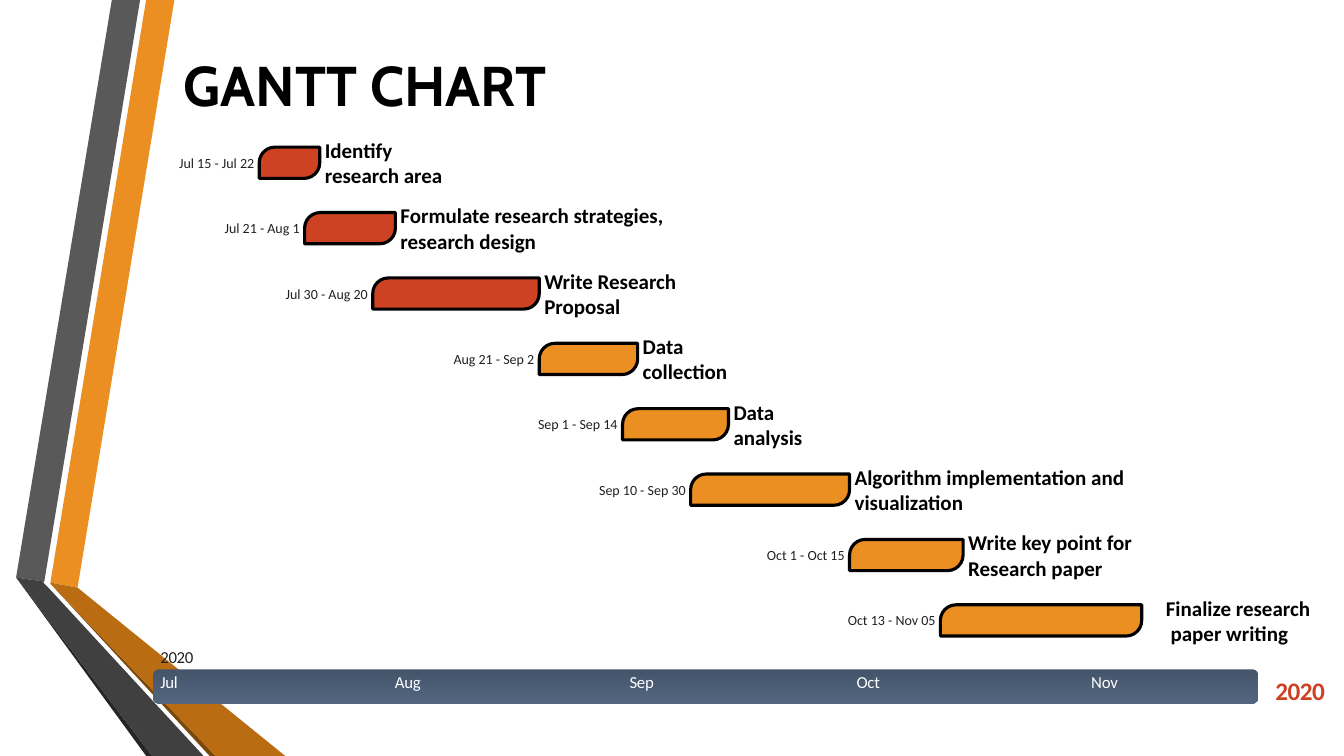
from pptx import Presentation
from pptx.dml.color import RGBColor
from pptx.enum.shapes import MSO_SHAPE
from pptx.enum.text import MSO_ANCHOR, MSO_AUTO_SIZE, PP_ALIGN
from pptx.util import Inches, Pt

ROUND_BAR = MSO_SHAPE.ROUNDED_RECTANGLE
TASK_BAR = MSO_SHAPE.ROUND_2_DIAG_RECTANGLE
MIDDLE = MSO_ANCHOR.MIDDLE
NO_FIT = MSO_AUTO_SIZE.NONE
LEFT, CENTER, RIGHT = PP_ALIGN.LEFT, PP_ALIGN.CENTER, PP_ALIGN.RIGHT

COLORS = {
    "black": "000000", "white": "FFFFFF", "text": "212121",
    "red": "CD4223", "orange": "EB8F22", "brown": "B96C11",
    "dark_brown": "7B480B", "gray": "595959", "dark_gray": "404040",
    "charcoal": "262626", "axis_top": "44546A", "axis_bottom": "52667F",
}
FONT = "Calibri"
AXIS = (1.52, 6.64, 10.96, 0.34)
TASK_AREA = (1.52, 1.46, 10.96, 4.85)
DAYS = 146
BAR_H = 0.31
MONTHS = [("Jul", 0), ("Aug", 31), ("Sep", 62), ("Oct", 92), ("Nov", 123)]

# Day offsets count from 1 July: dates, start, end, task, label width, label gap, color.
TASKS = [
    ("Jul 15 - Jul 22", 14, 22, "Identify research area", 1.18, 0.05, "red"),
    ("Jul 21 - Aug 1", 20, 32, "Formulate research strategies, research design", 2.67, 0.05, "red"),
    ("Jul 30 - Aug 20", 29, 51, "Write Research Proposal", 1.36, 0.05, "red"),
    ("Aug 21 - Sep 2", 51, 64, "Data collection", 0.85, 0.05, "orange"),
    ("Sep 1 - Sep 14", 62, 76, "Data analysis", 0.69, 0.05, "orange"),
    ("Sep 10 - Sep 30", 71, 92, "Algorithm implementation and visualization", 2.72, 0.05, "orange"),
    ("Oct 1 - Oct 15", 92, 107, "Write key point for Research paper", 1.68, 0.05, "orange"),
    ("Oct 13 - Nov 05", 104, 130.6, "Finalize research\n paper writing", 2, 0.24, "orange"),
]
RIBBONS = [
    ("orange", [(0.5, 5.78), (0.77, 5.83), (1.73, 0), (1.45, 0)]),
    ("gray", [(1.39, 0), (1.11, 0), (0.16, 5.73), (0.44, 5.77)]),
    ("charcoal", [(0.16, 5.73), (1.45, 7.5), (1.51, 7.5)]),
    ("dark_brown", [(0.5, 5.79), (2.08, 7.5), (2.14, 7.5)]),
    ("brown", [(0.5, 5.79), (2.14, 7.5), (2.83, 7.5), (0.77, 5.83), (0.5, 5.78)]),
    ("dark_gray", [(2.02, 7.5), (0.48, 5.83), (0.43, 5.78), (0.44, 5.77),
                   (0.16, 5.73), (1.51, 7.5)]),
]


def rgb(name):
    """Return the named color."""
    return RGBColor.from_string(COLORS[name])


def style_run(r, size, color, bold=False, font=FONT, spacing=0):
    """Format a run, with letter spacing in hundredths of a point."""
    r.font.name, r.font.size, r.font.bold = font, Pt(size), bold
    r.font.color.rgb = rgb(color)
    if spacing:
        r.font._element.set("spc", str(spacing))


def add_text(slide, box, text, size, color, align=LEFT, wrap=True, **style):
    """Add a text box without margins, centred vertically."""
    tf = slide.shapes.add_textbox(*map(Inches, box)).text_frame
    tf.margin_left = tf.margin_right = tf.margin_top = tf.margin_bottom = 0
    tf.word_wrap, tf.vertical_anchor = wrap, MIDDLE
    tf.text = text
    for p in tf.paragraphs:
        p.alignment = align
        for r in p.runs:
            style_run(r, size, color, **style)


def add_ribbons(slide, left, top):
    """Draw the folded ribbons from the given corner."""
    for color, points in RIBBONS:
        corners = [(Inches(left + x), Inches(top + y)) for x, y in points]
        builder = slide.shapes.build_freeform(*corners[0])
        builder.add_line_segments(corners[1:], close=True)
        sp = builder.convert_to_shape()
        sp.shadow.inherit = False
        sp.fill.solid()
        sp.fill.fore_color.rgb = rgb(color)
        sp.line.fill.background()


def add_title(slide, box):
    """Place and format the title."""
    sp = slide.shapes.title
    sp.left, sp.top, sp.width, sp.height = map(Inches, box)
    tf = sp.text_frame
    tf.text = "GANTT CHART"
    tf.vertical_anchor, tf.auto_size = MIDDLE, NO_FIT
    p = tf.paragraphs[0]
    p.alignment = LEFT
    style_run(p.runs[0], 40, "black", bold=True, font="Cabin")


def add_axis(slide, box):
    """Draw the month axis with its year labels."""
    left, top, width, height = box
    sp = slide.shapes.add_shape(ROUND_BAR, *map(Inches, box))
    sp.shadow.inherit = False
    sp.line.fill.background()
    sp.fill.gradient()
    sp.fill.gradient_angle = 270
    for stop, color, position in zip(sp.fill.gradient_stops, ("axis_top", "axis_bottom"), (0, 1)):
        stop.color.rgb, stop.position = rgb(color), position
    text_left = left + 0.07
    for month, day in MONTHS:
        add_text(slide, (text_left + day * width / DAYS, top + 0.03, 0.27, 0.19),
                 month, 12, "white", wrap=False, spacing=-20)
    add_text(slide, (text_left, top - 0.22, 0.33, 0.2), "2020", 12, "text",
             wrap=False, spacing=-20)
    add_text(slide, (left + width + 0.17, top + 0.05, 0.49, 0.31), "2020", 18, "red",
             align=CENTER, wrap=False, bold=True, spacing=-40)


def add_tasks(slide, box):
    """Draw one bar per task, with its dates before it and its name after it."""
    left, top, width, height = box
    pitch = (height - BAR_H) / (len(TASKS) - 1)
    for i, (dates, first, last, name, name_w, gap, color) in enumerate(TASKS):
        start, end = (left + day * width / DAYS for day in (first, last))
        y = top + i * pitch
        sp = slide.shapes.add_shape(TASK_BAR, *map(Inches, (start, y, end - start, BAR_H)))
        sp.adjustments[0], sp.adjustments[1] = 1, 0
        sp.shadow.inherit = False
        sp.fill.solid()
        sp.fill.fore_color.rgb = rgb(color)
        sp.line.color.rgb = rgb("black")
        sp.line.width = Pt(2.25)
        add_text(slide, (start - 0.93, y + 0.07, 0.88, 0.17), dates, 10, "text", align=RIGHT)
        add_text(slide, (end + gap, y - 0.1, name_w, 0.51), name, 15, "black", bold=True)


def main():
    """Build and save the slide."""
    prs = Presentation()
    prs.slide_width, prs.slide_height = Inches(13.33), Inches(7.5)
    slide = prs.slides.add_slide(prs.slide_layouts[5])
    add_ribbons(slide, 0, 0)
    add_title(slide, (1.72, 0.29, 10.96, 1.08))
    add_axis(slide, AXIS)
    add_tasks(slide, TASK_AREA)
    prs.save("out.pptx")


if __name__ == "__main__":
    main()
